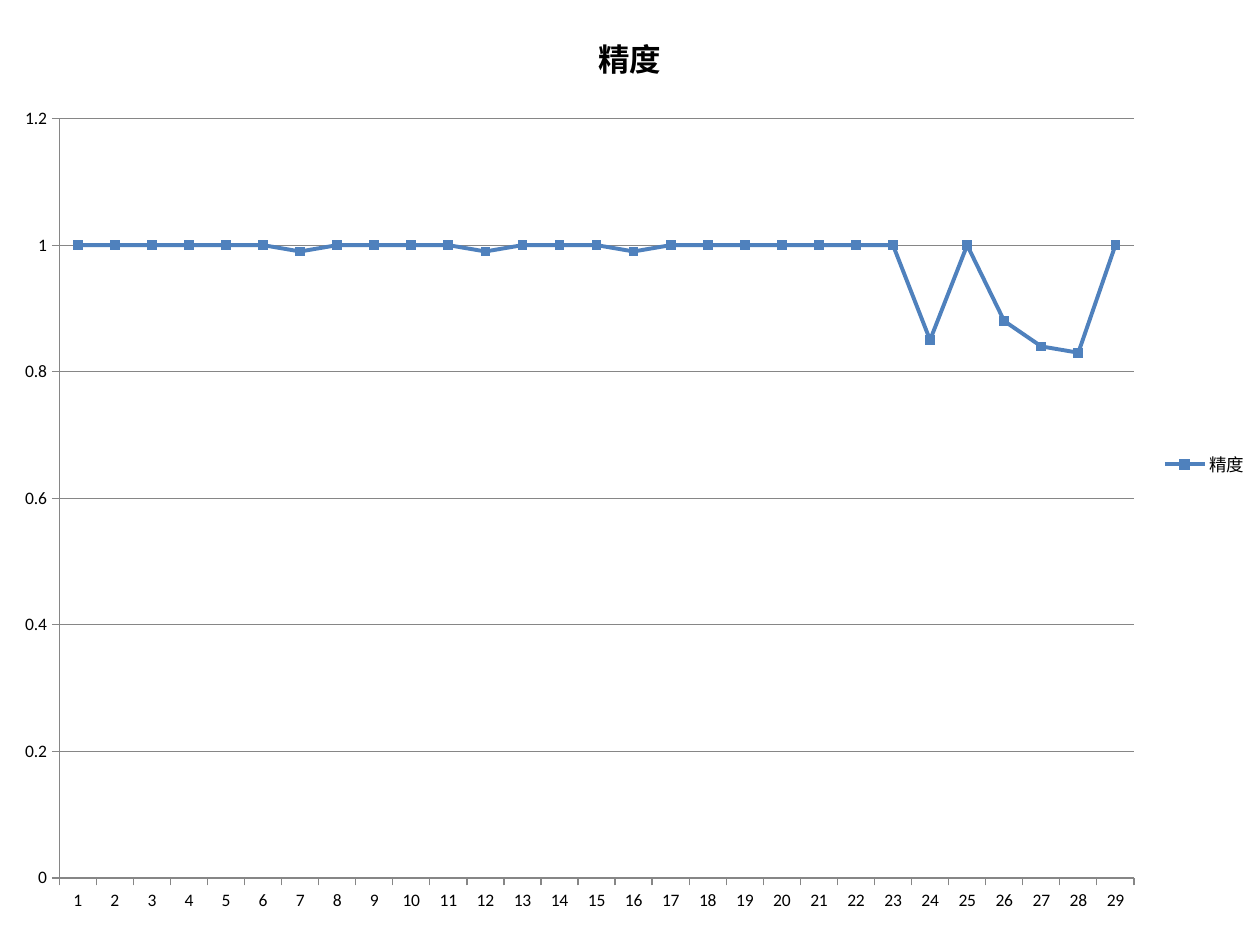
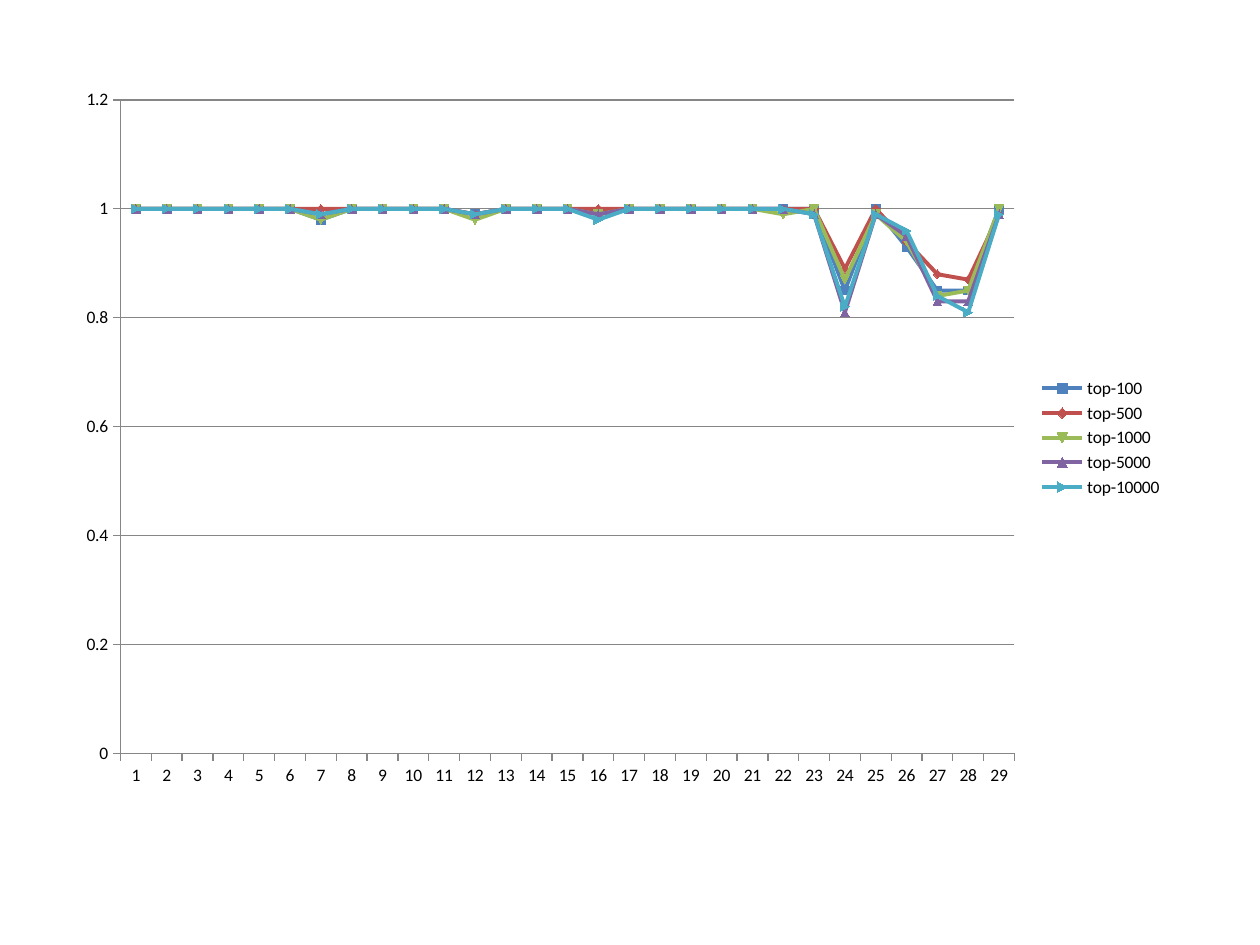
"""Build two slides of line charts that show precision over 29 runs."""
from dataclasses import dataclass

from pptx import Presentation
from pptx.chart.chart import Chart
from pptx.chart.data import CategoryChartData
from pptx.dml.color import RGBColor
from pptx.dml.line import LineFormat
from pptx.enum.chart import XL_CHART_TYPE, XL_LEGEND_POSITION, XL_TICK_MARK
from pptx.slide import Slide
from pptx.util import Pt

RUNS = 29
FONT = "Calibri"
BLACK, GREY = "000000", "868686"
BLUE, RED, GREEN, PURPLE, AQUA = "4F81BD", "C0504D", "9BBB59", "8064A2", "4BACC6"


@dataclass
class Curve:
    """A line that stays at 1 except for its dips, keyed by run."""
    name: str
    color: str
    dips: dict[int, float]

    def values(self) -> list[float]:
        """Return one value for each run."""
        return [self.dips.get(run, 1) for run in range(1, RUNS + 1)]


@dataclass
class Panel:
    """A chart with its place in points, its curves and its title."""
    left: float
    top: float
    width: float
    height: float
    curves: list[Curve]
    title: str = ""


PANELS = [
    Panel(0, 0, 720, 530.64, [
        Curve("精度", BLUE, {7: 0.99, 12: 0.99, 16: 0.99, 24: 0.85, 26: 0.88,
                           27: 0.84, 28: 0.83}),
    ], "精度"),
    Panel(36.72, 43.2, 635.04, 414, [
        Curve("top-100", BLUE, {7: 0.98, 12: 0.99, 16: 0.99, 24: 0.85, 26: 0.93,
                                27: 0.85, 28: 0.85}),
        Curve("top-500", RED, {12: 0.99, 24: 0.89, 26: 0.94, 27: 0.88, 28: 0.87,
                               29: 0.99}),
        Curve("top-1000", GREEN, {7: 0.98, 12: 0.98, 16: 0.99, 22: 0.99, 24: 0.87,
                                  25: 0.99, 26: 0.94, 27: 0.84, 28: 0.85}),
        Curve("top-5000", PURPLE, {7: 0.99, 12: 0.99, 16: 0.99, 23: 0.99, 24: 0.81,
                                   25: 0.99, 26: 0.95, 27: 0.83, 28: 0.83, 29: 0.99}),
        Curve("top-10000", AQUA, {7: 0.99, 12: 0.99, 16: 0.98, 23: 0.99, 24: 0.82,
                                  25: 0.99, 26: 0.96, 27: 0.84, 28: 0.81, 29: 0.99}),
    ]),
]


def paint(line: LineFormat, color: str, width: float) -> None:
    """Give a line its colour and its width in points."""
    line.color.rgb = RGBColor.from_string(color)
    line.width = Pt(width)


def style_axes(chart: Chart) -> None:
    """Set the scale, ticks, grid and lines of both axes."""
    for axis in (chart.category_axis, chart.value_axis):
        axis.major_tick_mark = XL_TICK_MARK.OUTSIDE
        axis.minor_tick_mark = XL_TICK_MARK.NONE
        paint(axis.format.line, GREY, 0.75)
    scale = chart.value_axis
    scale.minimum_scale, scale.maximum_scale, scale.major_unit = 0, 1.2, 0.2
    scale.has_major_gridlines = True
    scale.tick_labels.number_format = "General"
    scale.tick_labels.number_format_is_linked = False
    paint(scale.major_gridlines.format.line, GREY, 0.75)


def style_title(chart: Chart, title: str) -> None:
    """Show the title in bold, or none if it is empty."""
    chart.has_title = bool(title)
    if title:
        frame = chart.chart_title.text_frame
        frame.text = title
        chart.chart_title.include_in_layout = False
        font = frame.paragraphs[0].runs[0].font
        font.name, font.size, font.bold = FONT, Pt(18), True
        font.color.rgb = RGBColor.from_string(BLACK)


def draw_panel(slide: Slide, panel: Panel) -> None:
    """Draw one line chart on the slide."""
    data = CategoryChartData()
    data.categories = [str(run) for run in range(1, RUNS + 1)]
    for curve in panel.curves:
        data.add_series(curve.name, curve.values())
    place = [Pt(side) for side in (panel.left, panel.top, panel.width, panel.height)]
    chart = slide.shapes.add_chart(XL_CHART_TYPE.LINE_MARKERS, *place, data).chart
    chart.font.name, chart.font.size = FONT, Pt(10)
    chart.font.color.rgb = RGBColor.from_string(BLACK)
    chart.has_legend = True
    chart.legend.position = XL_LEGEND_POSITION.RIGHT
    chart.legend.include_in_layout = False
    style_title(chart, panel.title)
    style_axes(chart)
    for curve, series in zip(panel.curves, chart.plots[0].series):
        series.smooth = False
        paint(series.format.line, curve.color, 2.25)
        mark = series.marker.format
        mark.fill.solid()
        mark.fill.fore_color.rgb = RGBColor.from_string(curve.color)
        paint(mark.line, curve.color, 0.75)


def main() -> None:
    """Build and save the deck."""
    deck = Presentation()
    deck.slide_width, deck.slide_height = Pt(720), Pt(540)
    blank = deck.slide_layouts[6]
    for panel in PANELS:
        draw_panel(deck.slides.add_slide(blank), panel)
    deck.save("out.pptx")


main()
